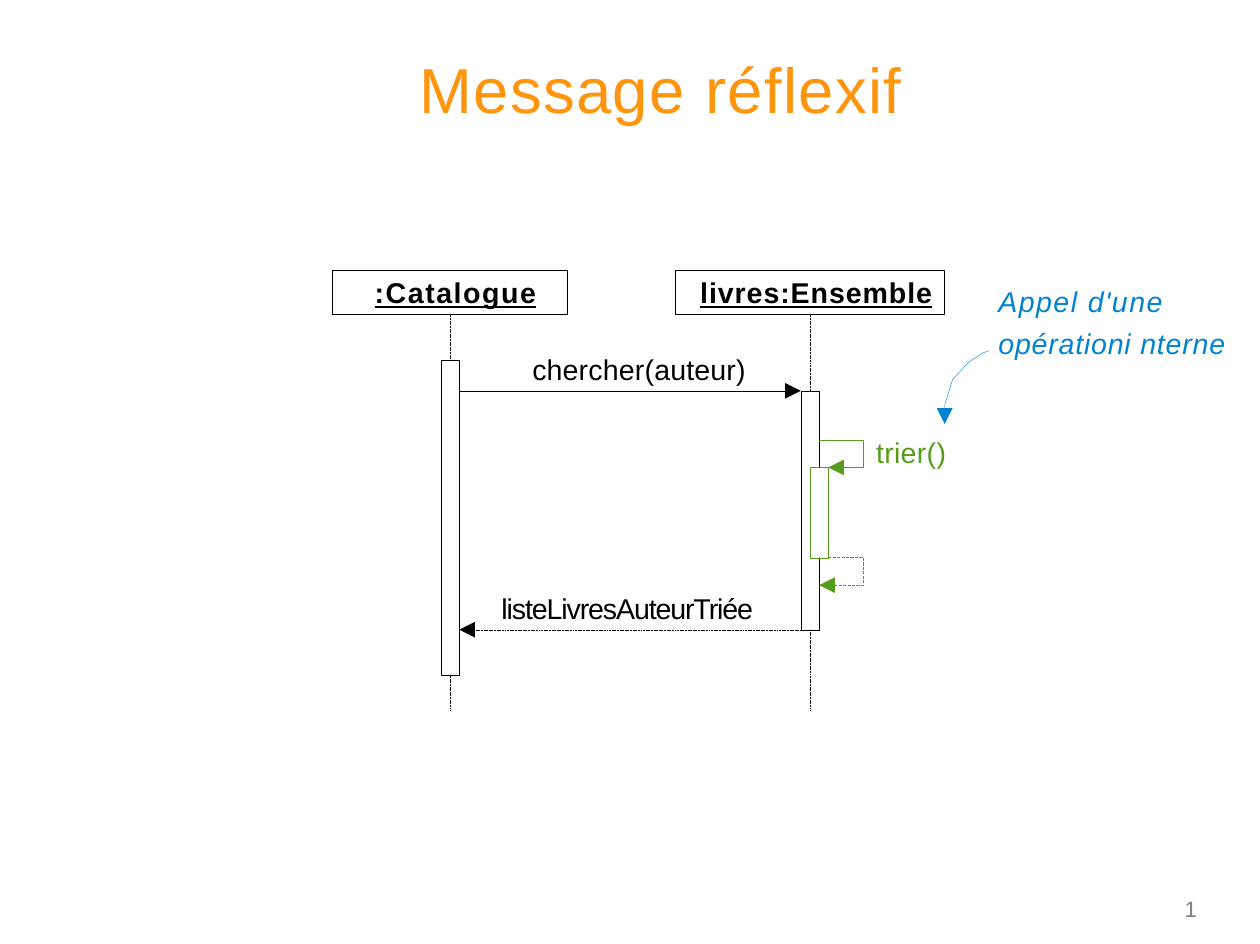
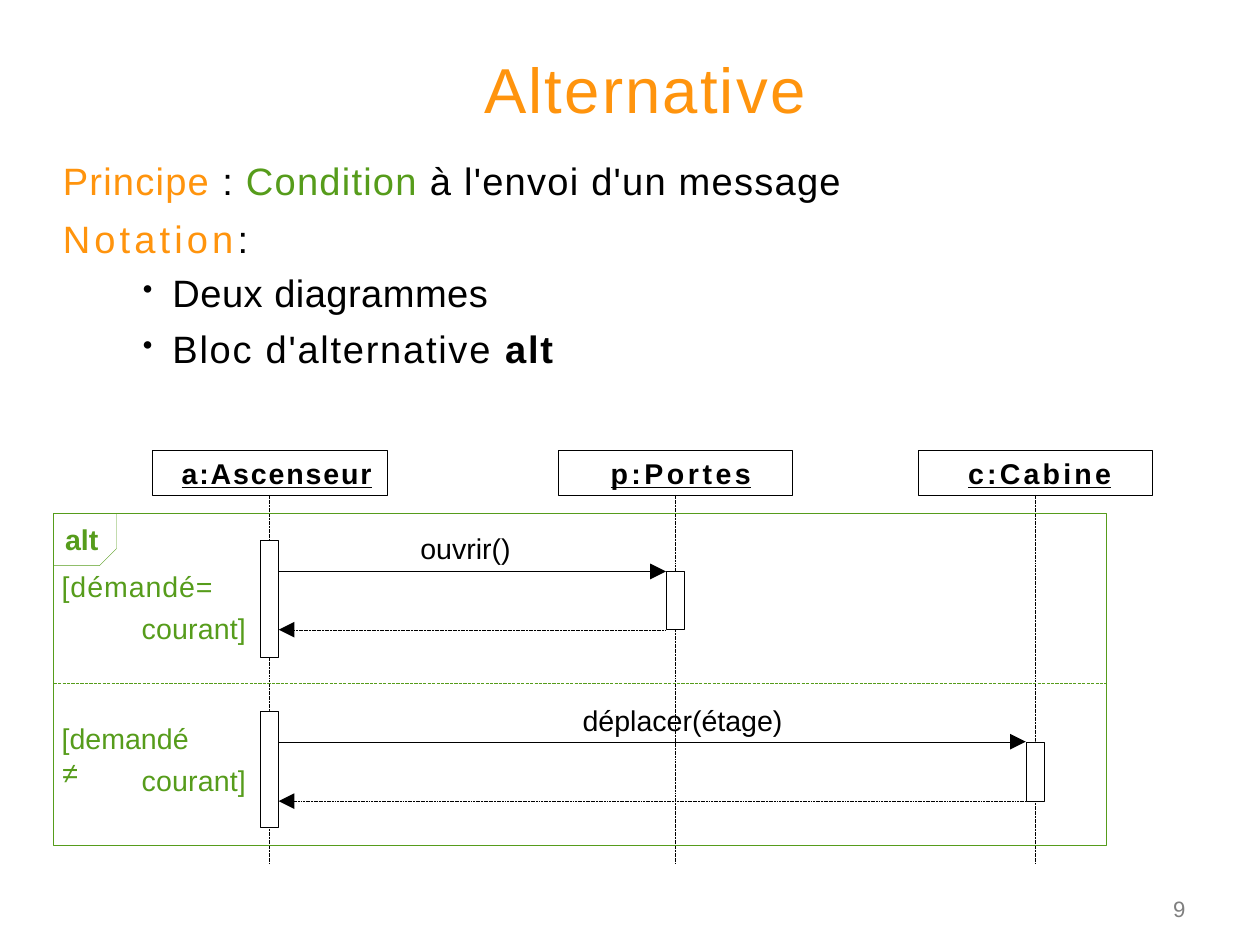
from lxml import etree
from pptx import Presentation
from pptx import util as u
from pptx.dml.color import RGBColor
from pptx.enum import dml, shapes, text
from pptx.oxml.ns import qn

COLOURS = {"title": "FF940D", "ink": "000000", "frame": "569C1B",
           "note": "0083D0", "page": "7F7F7F", "paper": "FFFFFF"}
FONT = "Arial"
HAIRLINE = 0.25
BAR = 0.16
HEADER_HEIGHT = 0.39
DOTTED, DASHED = dml.MSO_LINE.SQUARE_DOT, dml.MSO_LINE.LONG_DASH

# Lifelines: name -> (centre, header width, text indent, letter spacing)
# Bars: (lifeline, top, bottom); messages: (from, to, height, is a reply)
# Labels: (left, top, width, colour, lines); a line is a list of (text, run style)
REFLEXIVE = {
    "title": (3.67, 4.69, "Message réflexif", 0.9),
    "page": (10.37, "1"),
    "lifelines": {":Catalogue": (3.94, 2.06, 0.37, 1),
                  "livres:Ensemble": (7.09, 2.36, 0.22, 0.6)},
    "header_top": 2.36, "foot": 6.22,
    "bars": [(":Catalogue", 3.15, 5.91), ("livres:Ensemble", 3.42, 5.51)],
    "messages": [(":Catalogue", "livres:Ensemble", 3.42, False),
                 ("livres:Ensemble", ":Catalogue", 5.51, True)],
    "labels": [
        (4.66, 3.08, 2.2, "ink", [[("chercher(auteur)", {"spacing": 0.1})]]),
        (7.67, 3.81, 0.9, "frame", [[("trier()", {"spacing": 0.2})]]),
        (4.39, 5.17, 2.4, "ink", [[("listeLivresAuteurTriée", {"spacing": -0.7})]]),
    ],
}
ALTERNATIVE = {
    "title": (4.24, 3.2, "Alternative", 1.4),
    "page": (10.27, "9"),
    "lifelines": {"a:Ascenseur": (2.36, 2.06, 0.26, 1.2),
                  "p:Portes": (5.91, 2.05, 0.46, 2.2),
                  "c:Cabine": (9.06, 2.05, 0.44, 2)},
    "header_top": 3.94, "foot": 7.56,
    "bars": [("a:Ascenseur", 4.73, 5.75), ("a:Ascenseur", 6.22, 7.24),
             ("p:Portes", 5, 5.51), ("c:Cabine", 6.49, 7.01)],
    "messages": [("a:Ascenseur", "p:Portes", 5, False),
                 ("p:Portes", "a:Ascenseur", 5.51, True),
                 ("a:Ascenseur", "c:Cabine", 6.49, False),
                 ("c:Cabine", "a:Ascenseur", 7.01, True)],
    "labels": [
        (3.68, 4.65, 1.0, "ink", [[("ouvrir()", {})]]),
        (5.1, 6.15, 2.0, "ink", [[("déplacer(étage)", {})]]),
        (0.57, 4.57, 0.47, "frame", [[("alt", {"bold": True})]]),
        (0.54, 4.98, 1.6, "frame", [[("[démandé=", {"spacing": 0.6})]]),
        (1.24, 5.35, 1.04, "frame", [[("courant]", {"spacing": 0.1})]]),
        (0.54, 6.31, 1.3, "frame", [[("[demandé", {})], [("≠", {"font": "Courier New"})]]),
        (1.24, 6.68, 1.04, "frame", [[("courant]", {"spacing": 0.1})]]),
    ],
}
NOTE = [[("Appel d'une", {"spacing": 0.9})], [("opérationi nterne", {"spacing": 0.5})]]
PRINCIPLE = [
    [("Principe ", {"colour": "title", "spacing": 0.8}), (": ", {"spacing": 0.8}),
     ("Condition ", {"colour": "frame", "spacing": 0.8}),
     ("à l'envoi d'un message", {"spacing": 0.8})],
    [("Notation", {"colour": "title", "spacing": 2.6}), (":", {"spacing": 2.6})],
]
NOTATIONS = [
    [("Deux diagrammes", {"spacing": 0.3})],
    [("Bloc d'alternative ", {"spacing": 1.1}), ("alt", {"bold": True, "spacing": 1.1})],
]
NOTE_CURVE = [(8.66, 3.07), (8.6, 3.09), (8.48, 3.17), (8.34, 3.32), (8.27, 3.54), (8.27, 3.71)]
FRAME = (0.47, 4.49, 9.21, 2.91)
FRAME_SPLIT = 5.98


def rgb(name):
    return RGBColor.from_string(COLOURS[name])


def write(frame, lines, size, colour, bold=None, italic=None, underline=None, spacing=None):
    for i, runs in enumerate(lines):
        paragraph = frame.paragraphs[0] if i == 0 else frame.add_paragraph()
        paragraph.alignment = text.PP_ALIGN.LEFT
        font = paragraph.font
        font.size, font.name, font.color.rgb = u.Pt(size), FONT, rgb(colour)
        font.bold, font.italic, font.underline = bold, italic, underline
        if spacing:
            paragraph.line_spacing = spacing
        for words, style in runs:
            run = paragraph.add_run()
            run.text = words
            if "colour" in style:
                run.font.color.rgb = rgb(style["colour"])
            if "font" in style:
                run.font.name = style["font"]
            if "bold" in style:
                run.font.bold = style["bold"]
            if "spacing" in style:
                run._r.get_or_add_rPr().set("spc", str(round(style["spacing"] * 100)))


def set_margins(frame, left=0, top=0):
    frame.margin_left, frame.margin_top = u.Inches(left), u.Inches(top)
    frame.margin_right = frame.margin_bottom = 0
    frame.vertical_anchor = text.MSO_ANCHOR.TOP
    frame.word_wrap = True


def add_text(slide, left, top, width, lines, size, colour, **look):
    height = len(lines) * size * 1.2 * look.get("spacing", 1) / 72
    box = slide.shapes.add_textbox(*(u.Inches(n) for n in (left, top, width, height)))
    set_margins(box.text_frame)
    write(box.text_frame, lines, size, colour, **look)
    return box.text_frame


def stroke(shape, colour, dash=None, arrow=False):
    shape.line.color.rgb = rgb(colour)
    shape.line.width = u.Pt(HAIRLINE)
    if dash:
        shape.line.dash_style = dash
    if arrow:
        line = shape._element.spPr.find(qn("a:ln"))
        etree.SubElement(line, qn("a:tailEnd"), type="triangle", w="lg", len="lg")


def add_line(slide, start, end, colour="ink", dash=None, arrow=False):
    line = slide.shapes.add_connector(shapes.MSO_CONNECTOR.STRAIGHT,
                                      *(u.Inches(n) for n in (*start, *end)))
    stroke(line, colour, dash, arrow)
    etree.SubElement(line._element.spPr, qn("a:effectLst"))


def add_polyline(slide, points, colour, dash=None, arrow=False):
    first, *rest = [(u.Inches(x), u.Inches(y)) for x, y in points]
    builder = slide.shapes.build_freeform(*first)
    builder.add_line_segments(rest, close=False)
    outline = builder.convert_to_shape()
    outline.shadow.inherit = False
    outline.fill.background()
    stroke(outline, colour, dash, arrow)


def add_box(slide, left, top, width, height, colour="ink", fill=None):
    box = slide.shapes.add_shape(shapes.MSO_SHAPE.RECTANGLE,
                                 *(u.Inches(n) for n in (left, top, width, height)))
    box.shadow.inherit = False
    if fill:
        box.fill.solid()
        box.fill.fore_color.rgb = rgb(fill)
    else:
        box.fill.background()
    stroke(box, colour)
    return box


def add_bar(slide, centre, top, bottom, colour="ink"):
    add_box(slide, centre - BAR / 2, top, BAR, bottom - top, colour, "paper")


def add_sequence(prs, content):
    """Adds a slide with its title, page number and sequence diagram."""
    slide = prs.slides.add_slide(prs.slide_layouts[6])
    left, width, title, spacing = content["title"]
    add_text(slide, left, 0.44, width, [[(title, {"spacing": spacing})]], 40, "title")
    left, page = content["page"]
    add_text(slide, left, 7.83, 0.3, [[(page, {})]], 14, "page")

    lifelines, top = content["lifelines"], content["header_top"]
    for name, (centre, width, indent, spacing) in lifelines.items():
        header = add_box(slide, centre - width / 2, top, width, HEADER_HEIGHT)
        set_margins(header.text_frame, indent, 0.05)
        write(header.text_frame, [[(name, {"spacing": spacing})]], 18, "ink",
              bold=True, underline=True)
        add_line(slide, (centre, top + HEADER_HEIGHT), (centre, content["foot"]), dash=DOTTED)
    for name, start, end in content["bars"]:
        add_bar(slide, lifelines[name][0], start, end)
    for sender, receiver, y, reply in content["messages"]:
        x1, x2 = lifelines[sender][0], lifelines[receiver][0]
        edge = BAR / 2 if x2 > x1 else -BAR / 2
        add_line(slide, (x1 + edge, y), (x2 - edge, y), dash=DOTTED if reply else None, arrow=True)
    for left, y, width, colour, lines in content["labels"]:
        add_text(slide, left, y, width, lines, 18, colour)
    return slide


def add_self_call(slide, centre, top, bottom):
    """Adds the nested bar, the loop into it and the dashed loop back."""
    outer, inner, loop, rise = centre + BAR / 2, centre + BAR, centre + 0.47, 0.24
    add_bar(slide, outer, top, bottom, "frame")
    add_polyline(slide, [(outer, top - rise), (loop, top - rise), (loop, top), (inner, top)],
                 "frame", arrow=True)
    add_polyline(slide, [(inner, bottom), (loop, bottom), (loop, bottom + rise),
                         (outer, bottom + rise)], "frame", DASHED, arrow=True)


def add_bullets(slide, left, top, width, lines, indent):
    frame = add_text(slide, left, top, width, lines, 24, "ink")
    for paragraph in frame.paragraphs:
        paragraph.space_after = u.Pt(6.5)
        properties = paragraph._p.get_or_add_pPr()
        properties.set("marL", str(u.Inches(indent)))
        properties.set("indent", str(-u.Inches(indent)))
        size = etree.Element(qn("a:buSzPct"), val="75000")
        properties.find(qn("a:spcAft")).addnext(size)
        size.addnext(etree.Element(qn("a:buChar"), char="•"))


def add_alternative_frame(slide):
    left, top, width, height = FRAME
    add_box(slide, *FRAME, "frame")
    add_line(slide, (left, FRAME_SPLIT), (left + width, FRAME_SPLIT), "frame", DASHED)
    tab_width, tab_height, cut = 0.55, 0.46, 0.15
    right, bottom = left + tab_width, top + tab_height
    add_polyline(slide, [(left, bottom), (right - cut, bottom), (right, bottom - cut),
                         (right, top)], "frame")


def main():
    prs = Presentation()
    prs.slide_width, prs.slide_height = u.Inches(11.03), u.Inches(8.26)

    reflexive = add_sequence(prs, REFLEXIVE)
    add_self_call(reflexive, REFLEXIVE["lifelines"]["livres:Ensemble"][0], 4.09, 4.88)
    add_text(reflexive, 8.74, 2.42, 2.25, NOTE, 18, "note", italic=True, spacing=1.22)
    add_polyline(reflexive, NOTE_CURVE, "note", arrow=True)

    alternative = add_sequence(prs, ALTERNATIVE)
    add_alternative_frame(alternative)
    add_text(alternative, 0.55, 1.27, 8.56, PRINCIPLE, 24, "ink", spacing=1.27)
    add_bullets(alternative, 1.25, 2.36, 4.18, NOTATIONS, 0.26)
    prs.save("out.pptx")


if __name__ == "__main__":
    main()
